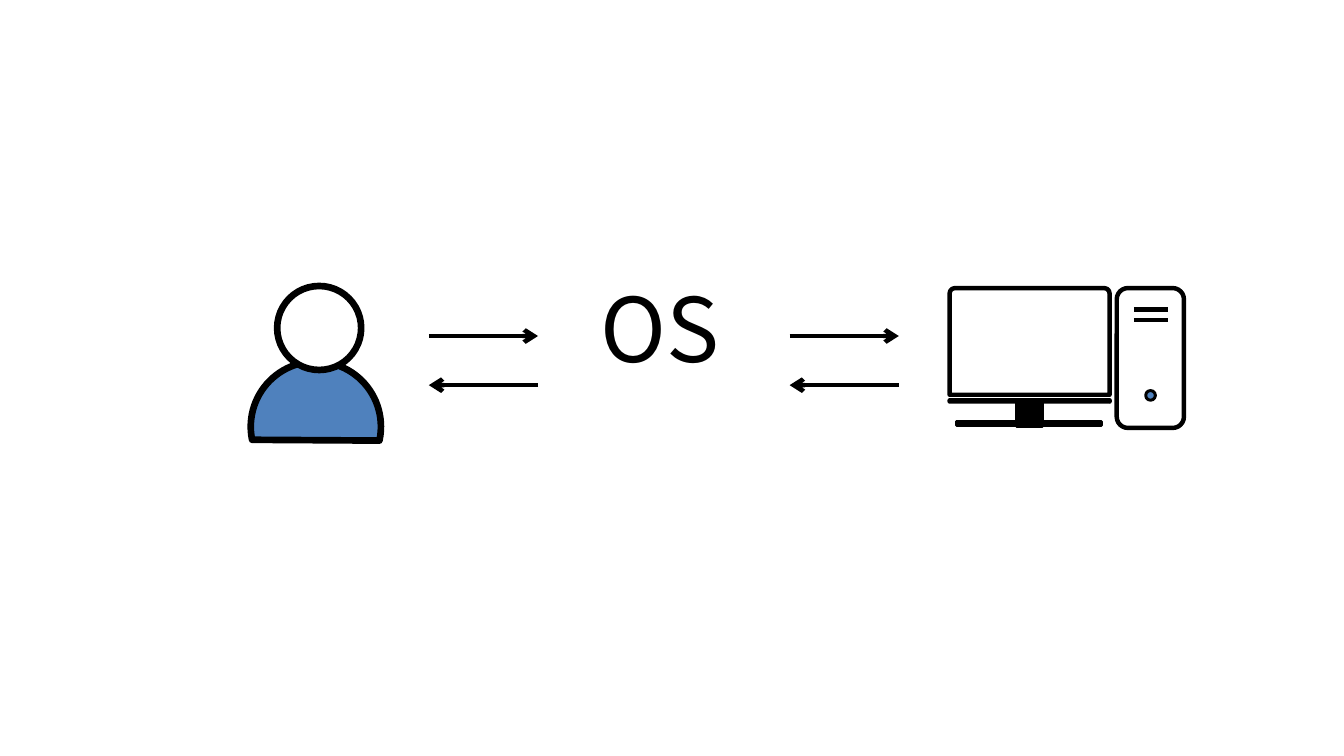
import pptx
import pptx.dml.color
import pptx.enum.dml
import pptx.enum.shapes
import pptx.enum.text
import pptx.oxml
import pptx.oxml.ns
import pptx.util

Cm = pptx.util.Cm
Pt = pptx.util.Pt
SHAPE = pptx.enum.shapes.MSO_SHAPE
BLACK, WHITE, BLUE = "000000", "FFFFFF", "4F81BD"
FONT = "Noto Sans CJK KR"


def color(hex_text):
    return pptx.dml.color.RGBColor.from_string(hex_text)


def add_shape(slide, kind, box, fill, width, adjustments=(), rotation=0):
    s = slide.shapes.add_shape(kind, *[Cm(v) for v in box])
    s.shadow.inherit = False
    s.rotation = rotation
    for i, value in enumerate(adjustments):
        s.adjustments[i] = value
    if fill:
        s.fill.solid()
        s.fill.fore_color.rgb = color(fill)
    else:
        s.fill.background()
    s.line.color.rgb = color(BLACK)
    s.line.width = Pt(width)
    return s


def add_line(slide, x1, x2, y, arrow=False):
    s = slide.shapes.add_connector(
        pptx.enum.shapes.MSO_CONNECTOR.STRAIGHT, Cm(x1), Cm(y), Cm(x2), Cm(y))
    s.line.color.rgb = color(BLACK)
    s.line.width = Pt(3)
    if arrow:
        tail = pptx.oxml.parse_xml(
            '<a:tailEnd %s type="arrow"/>' % pptx.oxml.ns.nsdecls("a"))
        s.line._get_or_add_ln().append(tail)
    s._element.spPr.append(pptx.oxml.parse_xml(
        "<a:effectLst %s/>" % pptx.oxml.ns.nsdecls("a")))


def add_label(slide, text, box, size):
    s = slide.shapes.add_textbox(*[Cm(v) for v in box])
    tf = s.text_frame
    tf.word_wrap = True
    tf.auto_size = pptx.enum.text.MSO_AUTO_SIZE.SHAPE_TO_FIT_TEXT
    p = tf.paragraphs[0]
    p.alignment = pptx.enum.text.PP_ALIGN.CENTER
    r = p.add_run()
    r.text = text
    r.font.size = Pt(size)
    r.font.name = FONT
    r.font.color.rgb = color(BLACK)


def add_user(slide):
    add_shape(slide, SHAPE.CHORD, (5.97, 8.61, 3.1, 3.1), BLUE, 4.5,
              (27, 149.35), 123.4)
    add_shape(slide, SHAPE.OVAL, (6.6, 6.81, 2, 2), WHITE, 4.5)


def add_exchange(slide, left):
    right = left + 2.6
    add_line(slide, left, right, 8, arrow=True)
    add_line(slide, right, left, 9.17, arrow=True)


def add_monitor(slide):
    corners = (0.05, 0)
    add_shape(slide, SHAPE.ROUND_2_SAME_RECTANGLE, (22.61, 6.86, 3.81, 2.54),
              None, 3, corners)
    add_shape(slide, SHAPE.RECTANGLE, (24.21, 9.58, 0.61, 0.58), BLACK, 2)
    add_shape(slide, SHAPE.RECTANGLE, (22.78, 10.03, 3.45, 0.1), BLACK, 2)
    add_shape(slide, SHAPE.ROUND_2_SAME_RECTANGLE, (22.61, 9.53, 3.81, 0.03),
              BLACK, 3, corners, 180)


def add_tower(slide):
    add_shape(slide, SHAPE.ROUNDED_RECTANGLE, (26.59, 6.86, 1.6, 3.33), None, 3)
    for y in (7.37, 7.62):
        add_line(slide, 27, 27.81, y)
    add_shape(slide, SHAPE.OVAL, (27.28, 9.3, 0.23, 0.23), BLUE, 2)


def main():
    prs = pptx.Presentation()
    prs.slide_width, prs.slide_height = Cm(32), Cm(18)
    slide = prs.slides.add_slide(prs.slide_layouts[6])

    # User, operating system and computer
    add_user(slide)
    add_label(slide, "OS", (13.51, 6.4, 4.42, 2.82), 60)
    add_monitor(slide)
    add_tower(slide)

    # Arrows in both directions between them
    for left in (10.21, 18.8):
        add_exchange(slide, left)

    prs.save("out.pptx")


if __name__ == "__main__":
    main()
